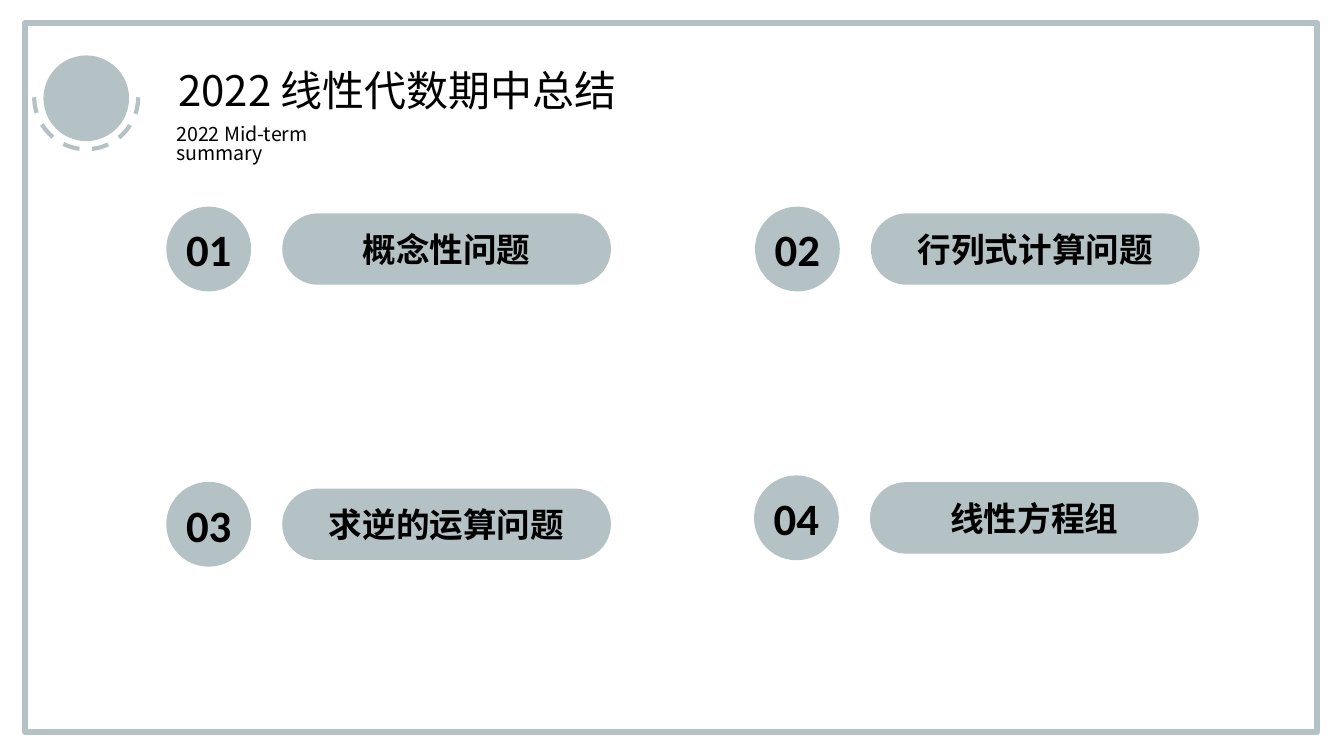
from pptx import Presentation
from pptx.dml.color import RGBColor
from pptx.enum.dml import MSO_LINE
from pptx.enum.shapes import MSO_SHAPE as Shape
from pptx.enum.text import MSO_ANCHOR as Anchor, PP_ALIGN as Align
from pptx.util import Pt
from lxml.etree import SubElement
from pptx.oxml.ns import qn

TITLE = "2022 线性代数期中总结"
SUB = "2022 Mid-term summary"
# number, topic, left and top of the badge
TOPICS = [
    ("01", "概念性问题", 118.8, 147.6),
    ("02", "行列式计算问题", 539.3, 147.6),
    ("03", "求逆的运算问题", 118.8, 344.2),
    ("04", "线性方程组", 538.6, 339.6),
]

GREY = RGBColor(0xB4, 0xC2, 0xC5)
BLACK = RGBColor(0, 0, 0)
WHITE = RGBColor(0xFF, 0xFF, 0xFF)
CJK, LATIN = "Noto Sans CJK SC", "Calibri"

BADGE = 60.6
PILL_W, PILL_H = 234.8, 51
PILL_DX = 82.8
NUM_W, NUM_H = 51, 39

deck = Presentation()
deck.slide_width, deck.slide_height = Pt(960), Pt(540)
slide = deck.slides.add_slide(deck.slide_layouts[6])
slide.background.fill.solid()
slide.background.fill.fore_color.rgb = WHITE


def draw(kind, x, y, w, h, line=None):
    """Add a grey shape: filled, or outlined when a line width is given."""
    item = slide.shapes.add_shape(kind, Pt(x), Pt(y), Pt(w), Pt(h))
    item.shadow.inherit = False
    if line:
        item.fill.background()
        item.line.color.rgb = GREY
        item.line.width = Pt(line)
    else:
        item.fill.solid()
        item.fill.fore_color.rgb = GREY
        item.line.fill.background()
    return item


def write(item, text, size, font=CJK, bold=False, align=Align.CENTER):
    frame = item.text_frame
    frame.word_wrap = True
    frame.vertical_anchor = Anchor.MIDDLE
    para = frame.paragraphs[0]
    para.alignment = align
    run = para.add_run()
    run.text = text
    run.font.name, run.font.size, run.font.bold = font, Pt(size), bold
    run.font.color.rgb = BLACK
    east = SubElement(run.font._element, qn("a:ea"))
    east.set("typeface", font)
    return frame


def add_box(x, y, w, h):
    return slide.shapes.add_textbox(Pt(x), Pt(y), Pt(w), Pt(h))


write(add_box(105.8, 41.8, 356.4, 43.9), TITLE, 30)
sub = write(add_box(118.8, 87.1, 162, 24.5), SUB, 14, align=Align.LEFT)
sub.vertical_anchor = Anchor.TOP
sub.paragraphs[0].line_spacing = 0.8

draw(Shape.RECTANGLE, 18, 16.6, 923, 506.2, line=4.5)
draw(Shape.OVAL, 31, 39.6, 61.2, 61.2)
arc = draw(Shape.ARC, 24.5, 32.4, 74.2, 74.2, line=3)
arc.adjustments[0], arc.adjustments[1] = 0, 108  # lower half circle
arc.line.dash_style = MSO_LINE.DASH

for num, topic, x, y in TOPICS:
    pill = draw(Shape.ROUNDED_RECTANGLE, x + PILL_DX,
                y + (BADGE - PILL_H) / 2, PILL_W, PILL_H)
    pill.adjustments[0] = 0.5
    write(pill, topic, 24, bold=True)

    draw(Shape.OVAL, x, y, BADGE, BADGE)
    label = add_box(x + (BADGE - NUM_W) / 2, y + (BADGE - NUM_H) / 2,
                    NUM_W, NUM_H)
    frame = write(label, num, 32, LATIN, bold=True)
    frame.margin_left = frame.margin_right = 0
    frame.margin_top = frame.margin_bottom = 0

deck.save("out.pptx")
